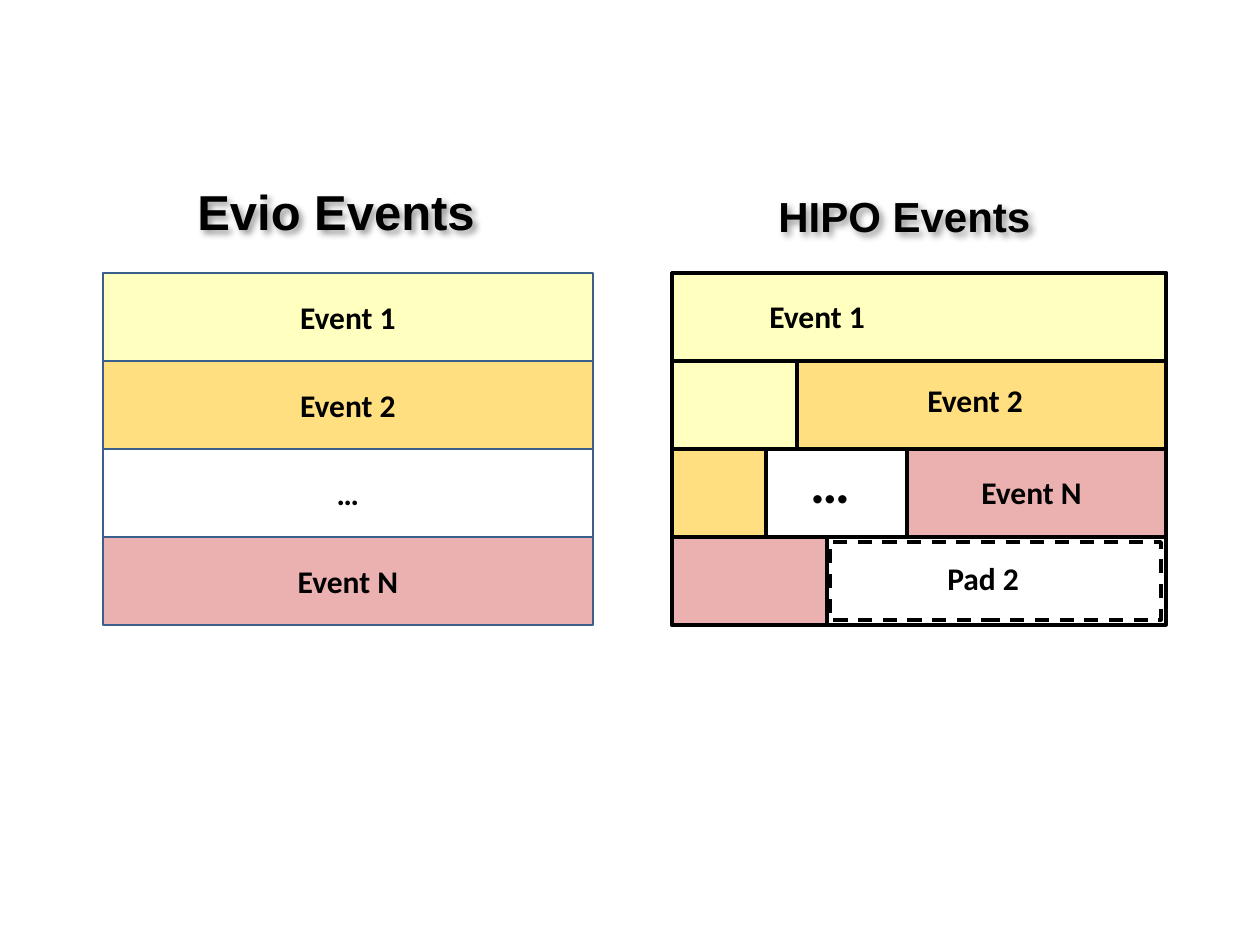
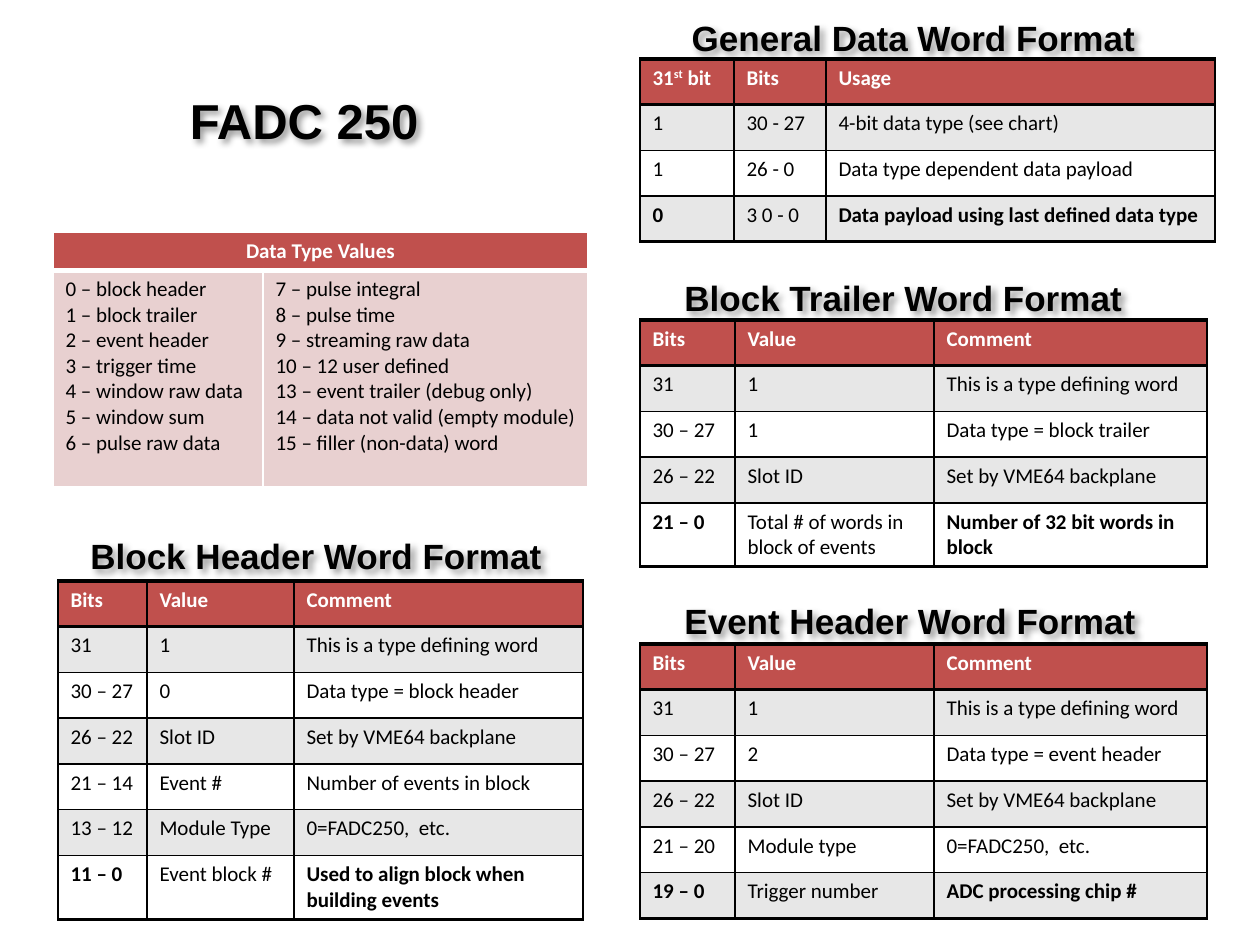
import pptx
import pptx.util
import pptx.dml.color
import pptx.enum.dml
import pptx.enum.shapes
import pptx.enum.text
from lxml import etree

# Shared look
PX = 914400 / 126
BLACK, WHITE, BLUE = "000000", "FFFFFF", "3A5F8C"
HEAD, GREY, PINK = "C0504D", "E7E7E7", "E8D0D0"
YELLOW, ORANGE, RED = ("FFFF00", 25), ("FFC000", 50), ("C00000", 31)
BODY, TITLE = "Calibri", "Arial"
NS = "http://schemas.openxmlformats.org/drawingml/2006/main"
ALIGN = pptx.enum.text.PP_ALIGN
ANCHOR = pptx.enum.text.MSO_ANCHOR

# Slide 1: event blocks
TOP, STEP = 273, 88
EVIO_X, EVIO_W = 103, 490
HIPO_X, HIPO_W = 672, 494
EVIO = [("Event 1", YELLOW), ("Event 2", ORANGE), ("…", None), ("Event N", RED)]
HIPO = [  # each row: fill and width, from the left
    [(YELLOW, 494)],
    [(YELLOW, 125), (ORANGE, 369)],
    [(ORANGE, 94), (None, 141), (RED, 259)],
    [(RED, 155)],
]
PAD = (830, 542, 331, 78)
LABELS = [  # text, box, size
    ("Event 1", (757, 291, 163, 50), 18),
    ("Event 2", (915, 375, 163, 50), 18),
    ("Event N", (969, 467, 163, 50), 18),
    ("Pad 2", (935, 553, 163, 50), 18),
    ("…", (798, 441, 83, 135), 32),
]
HEADS1 = [
    ("Evio Events", (185, 175, 325, 72), 28, ALIGN.LEFT),
    ("HIPO Events", (766, 184, 305, 63), 24, ALIGN.LEFT),
]

# Slide 2: word formats
NAME = ("FADC 250", (157, 84, 294, 72), 28, ALIGN.CENTER)
HEADS2 = [
    ("General Data Word Format", (672, 10, 483, 55), 20, ALIGN.CENTER),
    ("Block Trailer Word Format", (672, 270, 483, 55), 20, ALIGN.LEFT),
    ("Event Header Word Format", (672, 593, 483, 55), 20, ALIGN.LEFT),
    ("Block Header Word Format", (78, 528, 483, 55), 20, ALIGN.LEFT),
]
ROW = 183 / 4  # four rows fill 183 px
COLS = ("Bits", "Value", "Comment")
FIRST = ("31", "1", "This is a type defining word")
SLOT = ("26 – 22", "Slot ID", "Set by VME64 backplane")
WORDS = [  # left, top, column widths, rows
    (640, 59, (94, 92, 389), [
        ("31^st^ bit", "Bits", "Usage"),
        ("1", "30 - 27", "4-bit data type (see chart)"),
        ("1", "26 - 0", "Data type dependent data payload"),
        ("0", "3 0 - 0", "Data payload using last defined data type"),
    ]),
    (640, 320, (95, 199, 273), [
        COLS, FIRST,
        ("30 – 27", "1", "Data type = block trailer"),
        SLOT,
        ("21 – 0", "Total # of words in block of events",
         "Number of 32 bit words in block"),
    ]),
    (58, 581, (89, 147, 289), [
        COLS, FIRST,
        ("30 – 27", "0", "Data type = block header"),
        SLOT,
        ("21 – 14", "Event #", "Number of events in block"),
        ("13 – 12", "Module Type", "0=FADC250,  etc."),
        ("11 – 0", "Event block #", "Used to align block when building events"),
    ]),
    (640, 644, (95, 199, 273), [
        COLS, FIRST,
        ("30 – 27", "2", "Data type = event header"),
        SLOT,
        ("21 – 20", "Module type", "0=FADC250,  etc."),
        ("19 – 0", "Trigger number", "ADC processing chip #"),
    ]),
]
TYPES = [
    ["0 – block header", "1 – block trailer", "2 – event header",
     "3 – trigger time", "4 – window raw data", "5 – window sum",
     "6 – pulse raw data"],
    ["7 – pulse integral", "8 – pulse time", "9 – streaming raw data",
     "10 – 12 user defined", "13 – event trailer (debug only)",
     "14 – data not valid (empty module)", "15 – filler (non-data) word"],
]


# Helpers
def emu(px):
    return pptx.util.Emu(round(px * PX))


def rgb(code):
    return pptx.dml.color.RGBColor.from_string(code)


def sub(node, tag, **attrs):
    return etree.SubElement(node, f"{{{NS}}}{tag}", attrs)


def style(frame, size, font=BODY, color=BLACK, bold=True, align=ALIGN.LEFT):
    for para in frame.paragraphs:
        para.alignment = align
        for run in para.runs:
            run.font.size = pptx.util.Pt(size)
            run.font.name = font
            run.font.bold = bold
            run.font.color.rgb = rgb(color)


def label(slide, text, box, size):
    shape = slide.shapes.add_textbox(*map(emu, box))
    shape.text_frame.word_wrap = True
    shape.text_frame.text = text
    style(shape.text_frame, size)
    return shape


def heading(slide, text, box, size, align, shape=None):
    shape = shape or slide.shapes.add_textbox(0, 0, 0, 0)
    shape.left, shape.top, shape.width, shape.height = map(emu, box)
    frame = shape.text_frame
    frame.word_wrap = True
    frame.auto_size = pptx.enum.text.MSO_AUTO_SIZE.NONE
    frame.vertical_anchor = ANCHOR.TOP
    frame.text = text
    style(frame, size, TITLE, align=align)
    if not shape.is_placeholder:
        shape.fill.background()
    glow = sub(sub(shape._element.spPr, "effectLst"), "outerShdw",
               blurRad="50800", dist="38100", dir="2700000", algn="tl", rotWithShape="0")
    sub(sub(glow, "prstClr", val="black"), "alpha", val="40000")


def block(slide, box, paint=None, line=BLACK, width=2, text=""):
    shape = slide.shapes.add_shape(
        pptx.enum.shapes.MSO_SHAPE.RECTANGLE, *map(emu, box))
    shape.shadow.inherit = False
    shape.line.color.rgb = rgb(line)
    shape.line.width = pptx.util.Pt(width)
    if paint:
        shape.fill.solid()
        shape.fill.fore_color.rgb = rgb(paint[0])
        tint = shape._element.spPr.find(f"{{{NS}}}solidFill")[0]
        sub(tint, "alpha", val=str(paint[1] * 1000))
    else:
        shape.fill.background()
    if text:
        shape.text_frame.text = text
        shape.text_frame.vertical_anchor = ANCHOR.MIDDLE
        style(shape.text_frame, 18, align=ALIGN.CENTER)
    return shape


def grid(slide, left, top, widths, heights):
    box = (left, top, sum(widths), sum(heights))
    table = slide.shapes.add_table(
        len(heights), len(widths), *map(emu, box)).table
    for col, width in zip(table.columns, widths):
        col.width = emu(width)
    for row, height in zip(table.rows, heights):
        row.height = emu(height)
    return table


def dress(cell, fill, line, above=1, below=1):
    props = cell._tc.get_or_add_tcPr()
    for side, width in zip("LRTB", (1, 1, above, below)):
        edge = sub(props, "ln" + side, w=str(width * 12700))
        sub(sub(edge, "solidFill"), "srgbClr", val=line)
    cell.fill.solid()
    cell.fill.fore_color.rgb = rgb(fill)


def write(cell, text):
    # Text between carets is raised
    para = cell.text_frame.paragraphs[0]
    for i, part in enumerate(text.split("^")):
        run = para.add_run()
        run.text = part
        if i % 2:
            run._r.get_or_add_rPr().set("baseline", "30000")


def words(slide, left, top, widths, rows):
    table = grid(slide, left, top, widths, [ROW] * len(rows))
    last = len(rows) - 1
    for r, row in enumerate(rows):
        fill = HEAD if r == 0 else GREY if r % 2 else WHITE
        for c, text in enumerate(row):
            cell = table.cell(r, c)
            dress(cell, fill, BLACK, 2 if r < 2 else 1, 2 if r in (0, last) else 1)
            write(cell, text)
            style(cell.text_frame, 12, color=BLACK if r else WHITE,
                  bold=r == 0 or (r == last and c != 1))


def types(slide):
    table = grid(slide, 53, 232, (210, 325), (35, 217))
    table.cell(0, 0).merge(table.cell(0, 1))
    for c, lines in enumerate(TYPES):
        dress(table.cell(0, c), HEAD, WHITE, below=3)
        cell = table.cell(1, c)
        dress(cell, PINK, WHITE, above=3)
        cell.text_frame.text = "\n".join(lines)
        style(cell.text_frame, 12, bold=False)
    head = table.cell(0, 0).text_frame
    head.text = "Data Type Values"
    style(head, 12, color=WHITE, align=ALIGN.CENTER)


# Slides
def events(deck):
    slide = deck.slides.add_slide(deck.slide_layouts[6])
    for head in HEADS1:
        heading(slide, *head)
    block(slide, (HIPO_X, TOP, HIPO_W, STEP * len(HIPO)))
    for i, row in enumerate(HIPO):
        left = HIPO_X
        for paint, width in row:
            block(slide, (left, TOP + i * STEP, width, STEP), paint)
            left += width
    pad = block(slide, PAD)
    pad.line.dash_style = pptx.enum.dml.MSO_LINE.DASH
    for item in LABELS:
        label(slide, *item)
    for i, (text, paint) in enumerate(EVIO):
        box = (EVIO_X, TOP + i * STEP, EVIO_W, STEP)
        block(slide, box, paint, BLUE, 1.5, text)


def formats(deck):
    slide = deck.slides.add_slide(deck.slide_layouts[5])
    heading(slide, *NAME, shape=slide.shapes.title)
    types(slide)
    for item in WORDS:
        words(slide, *item)
    for head in HEADS2:
        heading(slide, *head)


def main():
    deck = pptx.Presentation()
    deck.slide_width, deck.slide_height = emu(1260), emu(945)
    events(deck)
    formats(deck)
    deck.save("out.pptx")


if __name__ == "__main__":
    main()
